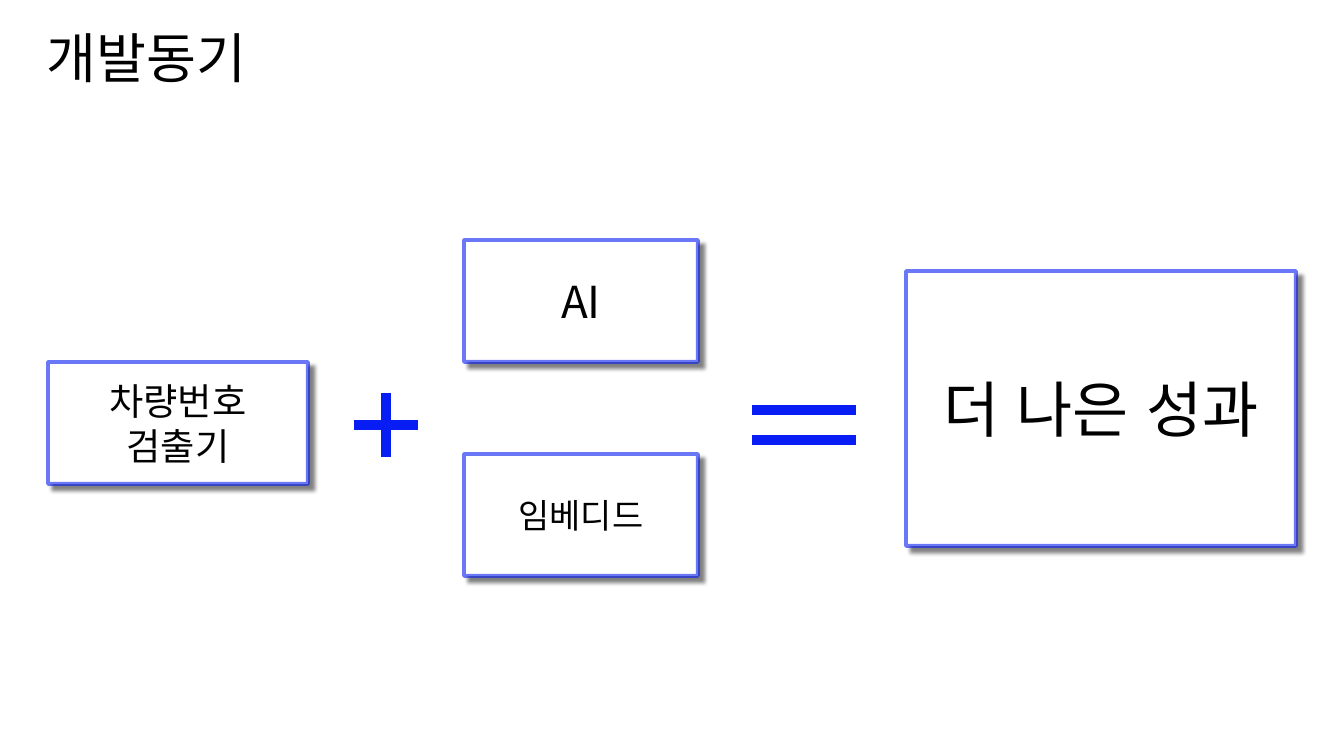
from lxml.etree import SubElement
from pptx import Presentation
from pptx.dml.color import RGBColor
from pptx.enum.lang import MSO_LANGUAGE_ID
from pptx.enum.shapes import MSO_CONNECTOR, MSO_SHAPE
from pptx.enum.text import MSO_ANCHOR, MSO_AUTO_SIZE, PP_ALIGN
from pptx.oxml.ns import qn
from pptx.util import Pt

PX = 914400 / 122
FONT = "Noto Sans CJK KR"
BLACK = RGBColor(0x00, 0x00, 0x00)
WHITE = RGBColor(0xFF, 0xFF, 0xFF)
BLUE = RGBColor(0x08, 0x1D, 0xF3)
SHADOW = RGBColor(0x80, 0x80, 0x80)


def px(*lengths):
    return [round(n * PX) for n in lengths]


def set_text(s, text, size, margins):
    """Fill a shape with one centred paragraph; margins are (x, y) in px."""
    x, y = px(*margins)
    tf = s.text_frame
    frame = {"margin_left": x, "margin_right": x, "margin_top": y, "margin_bottom": y,
             "word_wrap": True, "auto_size": MSO_AUTO_SIZE.NONE,
             "vertical_anchor": MSO_ANCHOR.MIDDLE}
    for name, value in frame.items():
        setattr(tf, name, value)
    p = tf.paragraphs[0]
    p.alignment = PP_ALIGN.CENTER
    r = p.add_run()
    r.text = text
    font = {"name": FONT, "size": Pt(size), "language_id": MSO_LANGUAGE_ID.KOREAN}
    for name, value in font.items():
        setattr(r.font, name, value)
    r.font.color.rgb = BLACK
    latin = r.font._element.find(qn("a:latin"))
    latin.addnext(latin.makeelement(qn("a:ea"), {"typeface": FONT}))


def add_title(slide, text, box):
    s = slide.shapes.title
    s.left, s.top, s.width, s.height = px(*box)
    set_text(s, text, 32, (0, 0))


def add_shadow(s):
    s.shadow.inherit = False
    effects = s.element.spPr.find(qn("a:effectLst"))
    outer = SubElement(effects, qn("a:outerShdw"), blurRad=str(Pt(2)), dist=str(Pt(4.2)),
                       dir="2700000", algn="tl", rotWithShape="0")
    SubElement(outer, qn("a:srgbClr"), val=str(SHADOW))


def add_box(slide, text, size, box):
    s = slide.shapes.add_shape(MSO_SHAPE.RECTANGLE, *px(*box))
    s.fill.solid()
    s.fill.fore_color.rgb = WHITE
    s.line.color.rgb = BLUE
    s.line.width = Pt(2.3)
    color = s.element.spPr.find(qn("a:ln")).find(".//" + qn("a:srgbClr"))
    SubElement(color, qn("a:alpha"), val="60000")
    add_shadow(s)
    set_text(s, text, size, (13, 7))


def add_stroke(slide, *ends):
    s = slide.shapes.add_connector(MSO_CONNECTOR.STRAIGHT, *px(*ends))
    s.line.color.rgb = BLUE
    s.line.width = Pt(6)
    SubElement(s.element.spPr, qn("a:effectLst"))


def add_plus(slide, x, y, arm):
    add_stroke(slide, x, y - arm, x, y + arm)
    add_stroke(slide, x - arm, y, x + arm, y)


def add_equals(slide, left, right, y, gap):
    for bar_y in (y, y + gap):
        add_stroke(slide, left, bar_y, right, bar_y)


def main():
    prs = Presentation()
    prs.slide_width, prs.slide_height = px(1344, 756)
    slide = prs.slides.add_slide(prs.slide_layouts[5])
    add_title(slide, "개발동기", (24, 17, 245, 79))
    add_box(slide, "차량번호 검출기", 22, (48, 362, 260, 122))
    add_plus(slide, 386, 425, 32)
    add_box(slide, "AI", 26, (464, 240, 234, 122))
    add_box(slide, "임베디드", 20, (464, 454, 234, 122))
    add_equals(slide, 752, 856, 410, 30)
    add_box(slide, "더 나은 성과", 36, (906, 271, 390, 275))
    prs.save("out.pptx")


if __name__ == "__main__":
    main()
